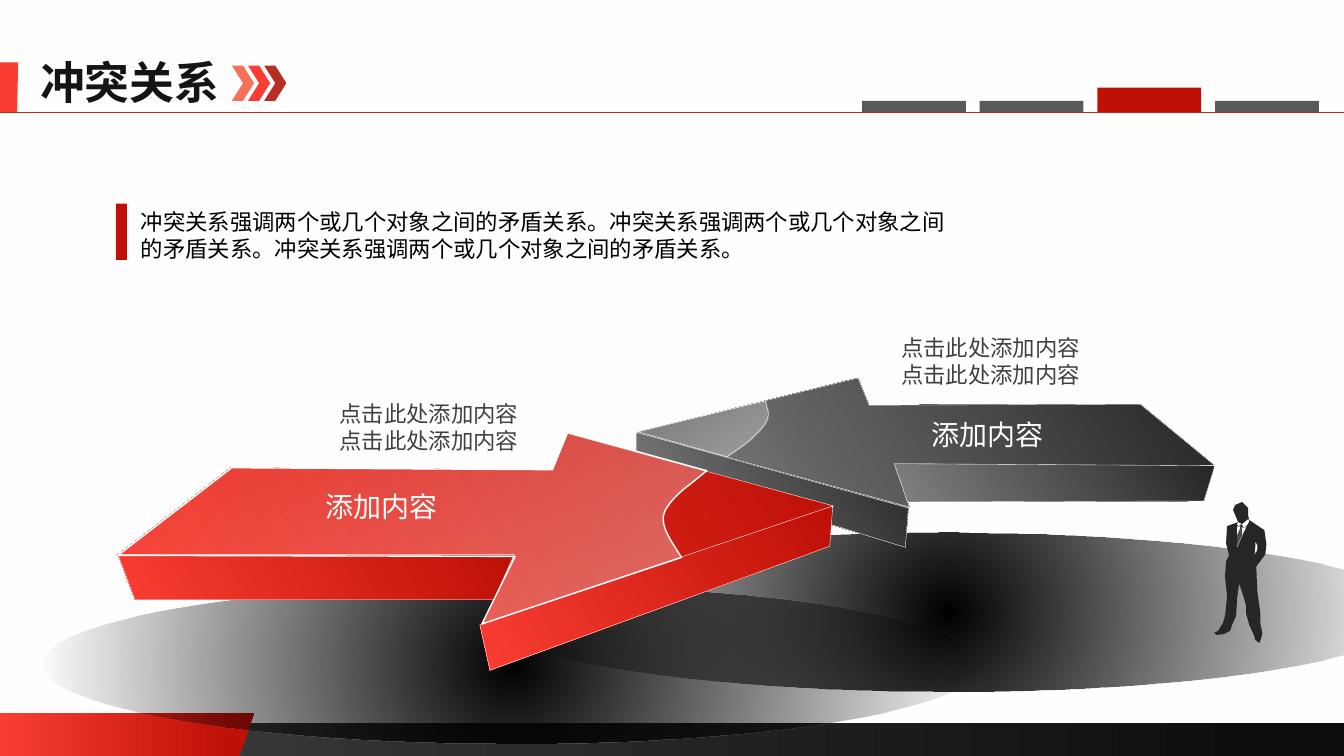
from lxml import etree
from pptx import Presentation
from pptx.dml.color import RGBColor
from pptx.enum.shapes import MSO_CONNECTOR as Connector, MSO_SHAPE as Preset
from pptx.oxml import parse_xml
from pptx.oxml.ns import nsdecls, qn
from pptx.util import Inches, Pt

FONT = "Noto Sans CJK SC"
WHITE = RGBColor(0xFF, 0xFF, 0xFF)
BLACK = RGBColor(0, 0, 0)
INK = RGBColor(0x14, 0x13, 0x16)
COLLAR = RGBColor(0x04, 0, 0)
CHARCOAL = RGBColor(0x26, 0x26, 0x26)
NEAR_BLACK = RGBColor(0x0D, 0x0D, 0x0D)
DARK_GREY = RGBColor(0x40, 0x40, 0x40)
TIE_GREY = RGBColor(0x4E, 0x4D, 0x4D)
TAB_GREY = RGBColor(0x59, 0x59, 0x59)
MID_GREY = RGBColor(0x80, 0x80, 0x80)
RED = RGBColor(0xF9, 0x3D, 0x32)
DEEP_RED = RGBColor(0xBE, 0x10, 0x07)
BRICK = RGBColor(0xB8, 0x2E, 0x24)
CORAL = RGBColor(0xF5, 0x71, 0x5B)

LINEAR = '<a:lin ang="{}" scaled="0"/>'
RADIAL = '<a:path path="circle"><a:fillToRect l="{}" t="{}" r="{}" b="{}"/></a:path>'


def gradient(stops, direction):
    """Build a gradient from (position, colour, opacity) stops in percent."""
    stop_xml = "".join(
        f'<a:gs pos="{position * 1000}"><a:srgbClr val="{colour}">'
        f'<a:alpha val="{opacity * 1000}"/></a:srgbClr></a:gs>'
        for position, colour, opacity in stops)
    return (f'<a:gradFill {nsdecls("a")} rotWithShape="1"><a:gsLst>{stop_xml}'
            f'</a:gsLst>{direction}</a:gradFill>')


def linear(start, end, angle, last=100, opacities=(100, 100)):
    return gradient([(0, start, opacities[0]), (last, end, opacities[1])],
                    LINEAR.format(angle * 60000))


BACKDROP = gradient([(0, WHITE, 34), (100, WHITE, 59)], RADIAL.format(100000, 100000, 0, 0))
SHADOW = gradient([(0, BLACK, 100), (100, BLACK, 0)], RADIAL.format(*[50000] * 4))
GREY_SIDE = linear(CHARCOAL, MID_GREY, 150)
RED_SIDE = linear(DEEP_RED, RED, 150)
GLOSS = linear(WHITE, WHITE, 220, opacities=(37, 0))


def paint(shape, fill, outline=None):
    """Apply a solid colour or a gradient, and an optional white outline."""
    shape.shadow.inherit = False
    if isinstance(fill, RGBColor):
        shape.fill.solid()
        shape.fill.fore_color.rgb = fill
    else:
        properties = shape._element.spPr
        geometry = properties.find(qn("a:custGeom"))
        if geometry is None:
            geometry = properties.find(qn("a:prstGeom"))
        geometry.addnext(parse_xml(fill))
    if outline:
        shape.line.color.rgb = WHITE
        shape.line.width = Pt(outline)
    else:
        shape.line.fill.background()


def add_preset(slide, preset, box, fill):
    paint(slide.shapes.add_shape(preset, *map(Inches, box)), fill)


def add_outline(slide, contours, fill, outline=None):
    """Draw one closed shape from one or more lists of points."""
    builder = None
    for contour in contours:
        start, *rest = [(Inches(x), Inches(y)) for x, y in contour]
        if builder is None:
            builder = slide.shapes.build_freeform(*start)
        else:
            builder.move_to(*start)
        builder.add_line_segments(rest, close=True)
    paint(builder.convert_to_shape(), fill, outline)


def curve(start, first, second, end, steps=10):
    """Return points along a cubic curve."""
    return [tuple((1 - t) ** 3 * a + 3 * (1 - t) ** 2 * t * b + 3 * (1 - t) * t ** 2 * c + t ** 3 * d
                  for a, b, c, d in zip(start, first, second, end))
            for t in (step / steps for step in range(steps + 1))]


def add_text(slide, box, lines, size, colour, bold=False):
    frame = slide.shapes.add_textbox(*map(Inches, box)).text_frame
    frame.word_wrap = False
    formats = {"name": FONT, "size": Pt(size), "bold": bold}
    for index, line in enumerate(lines):
        paragraph = frame.paragraphs[0] if index == 0 else frame.add_paragraph()
        run = paragraph.add_run()
        run.text = line
        for name, value in formats.items():
            setattr(run.font, name, value)
        run.font.color.rgb = colour
        etree.SubElement(run._r.rPr, qn("a:ea"), typeface=FONT)


def add_rule(slide, y, colour, width):
    rule = slide.shapes.add_connector(
        Connector.STRAIGHT, Inches(0), Inches(y), Inches(13.33), Inches(y))
    rule.line.color.rgb = colour
    rule.line.width = Pt(width)
    etree.SubElement(rule._element.spPr, qn("a:effectLst"))


def add_frame(slide):
    # Background, footer and header
    add_preset(slide, Preset.RECTANGLE, (0, 0, 13.33, 7.5), BACKDROP)
    add_preset(slide, Preset.RECTANGLE, (0, 7.17, 13.33, 0.33),
               linear(DARK_GREY, NEAR_BLACK, 0, last=94))
    add_outline(slide, [[(0, 7.07), (2.52, 7.07), (2.37, 7.5), (0, 7.5)]],
                linear(RED, DEEP_RED, 0, last=91))
    add_outline(slide, [[(0, 0.62), (0.18, 0.62), (0.17, 1.12), (0, 1.12)]], RED)
    add_text(slide, (0.3, 0.49, 2, 0.64), ["冲突关系"], 32, INK, bold=True)
    add_rule(slide, 1.11, BRICK, 0.5)
    for index, colour in enumerate((CORAL, RED, BRICK)):
        add_preset(slide, Preset.CHEVRON, (2.3 + 0.16 * index, 0.65, 0.22, 0.35), colour)

    # Section tabs, the third one active
    for index in range(4):
        height, colour = (0.24, DEEP_RED) if index == 2 else (0.11, TAB_GREY)
        add_preset(slide, Preset.RECTANGLE,
                   (8.55 + 1.167 * index, 1.11 - height, 1.03, height), colour)


def add_grey_arrow(slide):
    faces = [
        [(9.01, 5.04), (8.98, 5.43), (6.31, 4.61), (6.31, 4.29)],
        [(6.31, 4.29), (8.51, 3.75), (8.62, 4.02), (11.31, 4.01), (12.05, 4.62),
         (8.87, 4.61), (9.02, 5.03)],
        [(8.87, 4.6), (9, 4.98), (11.94, 4.97), (12.05, 4.62)],
    ]
    for face in faces:
        add_outline(slide, [face], GREY_SIDE, 0.25)
    add_text(slide, (9.14, 4.09, 1.32, 0.44), ["添加内容"], 20, WHITE)


def add_red_arrow(slide):
    faces = [
        [(2.29, 4.64), (1.16, 5.51), (5.1, 5.52), (4.78, 6.19), (8.27, 5.02),
         (5.63, 4.3), (5.48, 4.66)],
        [(1.17, 5.5), (1.34, 5.95), (4.9, 5.95), (5.1, 5.5)],
        [(4.76, 6.2), (4.86, 6.65), (8.23, 5.42), (8.26, 5.02)],
    ]
    for face in faces:
        add_outline(slide, [face], RED_SIDE, 0.25)
    add_text(slide, (3.13, 4.81, 1.32, 0.44), ["添加内容"], 20, WHITE)


def add_gloss(slide):
    grey_tip = [(7.58, 3.98), *curve((7.59, 3.98), (7.6, 4.02), (7.61, 4.05), (7.62, 4.09)),
                *curve((7.62, 4.09), (7.63, 4.19), (7.52, 4.3), (7.37, 4.42)),
                (7.21, 4.53), (6.32, 4.28)]
    red_body = [(5.63, 4.29), (7.01, 4.67),
                *curve((6.85, 4.8), (6.74, 4.88), (6.65, 4.97), (6.6, 5.06)),
                *curve((6.6, 5.06), (6.53, 5.19), (6.64, 5.34), (6.74, 5.5)),
                (6.76, 5.53), (4.78, 6.19), (5.11, 5.52), (1.17, 5.51), (2.3, 4.64), (5.48, 4.66)]
    add_outline(slide, [grey_tip], GLOSS, 0.25)
    add_outline(slide, [red_body], GLOSS, 1)


def add_businessman(slide):
    body = [(12.29, 5.79), (12.27, 5.93), (12.26, 6.11), (12.22, 6.2), (12.2, 6.26), (12.14, 6.29),
            (12.07, 6.3), (12.04, 6.28), (12.08, 6.26), (12.13, 6.18), (12.15, 6.11), (12.17, 5.92),
            (12.15, 5.72), (12.16, 5.57), (12.19, 5.51), (12.16, 5.39), (12.17, 5.22), (12.28, 5.18),
            (12.26, 5.13), (12.23, 5.06), (12.25, 5.01), (12.32, 4.98), (12.38, 5.04), (12.38, 5.12),
            (12.39, 5.16), (12.54, 5.26), (12.56, 5.4), (12.55, 5.5), (12.46, 5.62), (12.47, 5.87),
            (12.5, 6.08), (12.5, 6.19), (12.52, 6.28), (12.51, 6.33), (12.49, 6.38), (12.45, 6.35),
            (12.44, 6.31), (12.39, 6.2), (12.36, 6.09), (12.36, 6.01), (12.33, 5.91)]
    elbow_gap = [(12.44, 5.51), (12.46, 5.48), (12.47, 5.45), (12.47, 5.41), (12.45, 5.37), (12.45, 5.43)]
    shirt = [(12.27, 5.43), (12.34, 5.27), (12.39, 5.17), (12.38, 5.15), (12.32, 5.2), (12.28, 5.18),
             (12.27, 5.2)]
    tie = [(12.33, 5.22), (12.31, 5.2), (12.3, 5.22), (12.3, 5.24), (12.27, 5.31), (12.27, 5.42),
           (12.32, 5.31), (12.32, 5.24)]
    collar = [
        [(12.28, 5.23), (12.31, 5.2), (12.31, 5.21)],
        [(12.34, 5.24), (12.31, 5.21), (12.31, 5.2)],
        [(12.27, 5.21), (12.28, 5.21), (12.28, 5.23)],
        [(12.34, 5.24), (12.37, 5.21), (12.38, 5.21)],
    ]
    add_outline(slide, [body, elbow_gap], CHARCOAL)
    add_outline(slide, [shirt], WHITE)
    add_outline(slide, [tie], TIE_GREY)
    add_outline(slide, collar, COLLAR)


def main():
    presentation = Presentation()
    presentation.slide_width, presentation.slide_height = Inches(13.33), Inches(7.5)
    slide = presentation.slides.add_slide(presentation.slide_layouts[6])
    add_frame(slide)

    # Ground shadows and the far arrow
    for left, top in ((4.76, 5.28), (0.42, 5.8)):
        add_preset(slide, Preset.OVAL, (left, top, 9.3, 1.58), SHADOW)
    add_grey_arrow(slide)

    # Description and captions
    add_text(slide, (1.3, 2.02, 8.28, 0.64),
             ["冲突关系强调两个或几个对象之间的矛盾关系。冲突关系强调两个或几个对象之间",
              "的矛盾关系。冲突关系强调两个或几个对象之间的矛盾关系。"], 16, BLACK)
    add_preset(slide, Preset.RECTANGLE, (1.15, 2.02, 0.11, 0.56), DEEP_RED)
    for left, top in ((3.27, 3.92), (8.84, 3.27)):
        add_text(slide, (left, top, 2, 0.64), ["点击此处添加内容"] * 2, 16, DARK_GREY)

    # Figure, near arrow and highlights
    add_businessman(slide)
    add_red_arrow(slide)
    add_gloss(slide)
    presentation.save("out.pptx")


if __name__ == "__main__":
    main()
